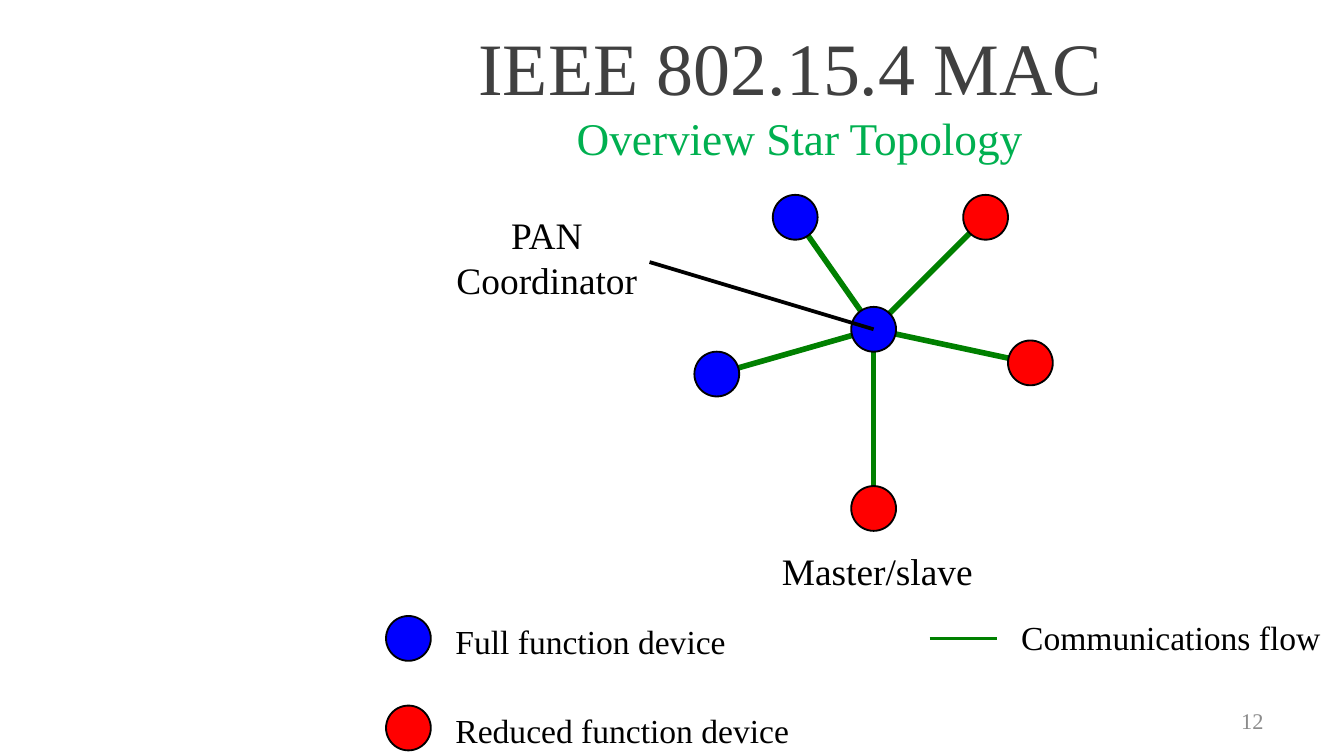
import dataclasses

import pptx
import pptx.dml.color
import pptx.enum.shapes
import pptx.enum.text
import pptx.oxml
import pptx.util

Pt = pptx.util.Pt
ALIGN = pptx.enum.text.PP_ALIGN
ANCHOR = pptx.enum.text.MSO_ANCHOR


@dataclasses.dataclass(frozen=True)
class Theme:
    font: str = "Times New Roman"
    title: str = "404040"
    subtitle: str = "00B050"
    number: str = "8C8C8C"
    ink: str = "000000"
    full: str = "0000FF"
    reduced: str = "FF0000"
    flow: str = "008000"
    title_size: float = 39.6
    subtitle_size: float = 24.3
    label_size: float = 20
    legend_size: float = 18
    number_size: float = 12


THEME = Theme()
DIAMETER = 24
HUB = (468, 176.4)
NODES = [
    ((384, 200.4), THEME.full),
    ((468, 272.4), THEME.reduced),
    ((426, 116.4), THEME.full),
    ((528, 116.4), THEME.reduced),
    ((552, 194.4), THEME.reduced),
]
LEGEND = [("Full function device", THEME.full, 161),
          ("Reduced function device", THEME.reduced, 195)]
LEGEND_X = 218.8
LEGEND_Y = 342
LEGEND_STEP = 48


def rgb(value):
    return pptx.dml.color.RGBColor.from_string(value)


def add_span(para, text, size, color):
    span = para.add_run()
    span.text = text
    span.font.name = THEME.font
    span.font.size = Pt(size)
    span.font.color.rgb = rgb(color)


def add_box(page, left, top, width, height, wrap=False, anchor=ANCHOR.TOP):
    box = page.shapes.add_textbox(Pt(left), Pt(top), Pt(width), Pt(height))
    box.text_frame.word_wrap = wrap
    box.text_frame.vertical_anchor = anchor
    return box.text_frame


def add_label(page, lines, area, size, color=THEME.ink, align=ALIGN.LEFT, **frame):
    box = add_box(page, *area, **frame)
    for index, line in enumerate(lines):
        para = box.add_paragraph() if index else box.paragraphs[0]
        para.alignment = align
        add_span(para, line, size, color)


def add_title(page):
    box = add_box(page, 172.8, 16.2, 511.2, 67.7, True, ANCHOR.MIDDLE)
    para = box.paragraphs[0]
    para.alignment = ALIGN.CENTER
    add_span(para, "IEEE 802.15.4 MAC ", THEME.title_size, THEME.title)
    para.add_line_break()
    add_span(para, "Overview Star Topology", THEME.subtitle_size, THEME.subtitle)


def add_line(page, start, end, color, width):
    line = page.shapes.add_connector(
        pptx.enum.shapes.MSO_CONNECTOR.STRAIGHT, *map(Pt, (*start, *end)))
    line.line.color.rgb = rgb(color)
    line.line.width = Pt(width)
    properties = line._element.spPr
    properties.append(pptx.oxml.parse_xml(
        '<a:effectLst xmlns:a="http://schemas.openxmlformats.org/drawingml/2006/main"/>'))


def add_device(page, center, color):
    x, y = center
    device = page.shapes.add_shape(
        pptx.enum.shapes.MSO_SHAPE.OVAL,
        Pt(x - DIAMETER / 2), Pt(y - DIAMETER / 2), Pt(DIAMETER), Pt(DIAMETER))
    device.shadow.inherit = False
    device.fill.solid()
    device.fill.fore_color.rgb = rgb(color)
    device.line.color.rgb = rgb(THEME.ink)
    device.line.width = Pt(1)


def add_star(page):
    for center, color in NODES:
        add_line(page, HUB, center, THEME.flow, 3)
        add_device(page, center, color)
    add_device(page, HUB, THEME.full)
    add_label(page, ["Master/slave"], (411.8, 290.2, 117.4, 31.5), THEME.label_size)
    add_label(page, ["PAN", "Coordinator"], (235, 110.2, 116, 55.7),
              THEME.label_size, align=ALIGN.CENTER)
    add_line(page, (348, 140.4), HUB, THEME.ink, 2)


def add_legend(page):
    for row, (text, color, width) in enumerate(LEGEND):
        y = LEGEND_Y + row * LEGEND_STEP
        add_device(page, (LEGEND_X, y), color)
        add_label(page, [text], (236.9, y - 13, width, 29), THEME.legend_size)
    add_line(page, (498, LEGEND_Y), (534, LEGEND_Y), THEME.flow, 1.5)
    add_label(page, ["Communications flow"], (540, LEGEND_Y - 15, 175, 29),
              THEME.legend_size)


def main():
    deck = pptx.Presentation()
    deck.slide_width = Pt(720)
    deck.slide_height = Pt(405)
    page = deck.slides.add_slide(deck.slide_layouts[6])
    add_title(page)
    add_label(page, ["12"], (516.2, 375.4, 167.8, 21.6), THEME.number_size,
              THEME.number, ALIGN.RIGHT, wrap=True, anchor=ANCHOR.MIDDLE)
    add_star(page)
    add_legend(page)
    deck.save("out.pptx")


if __name__ == "__main__":
    main()
